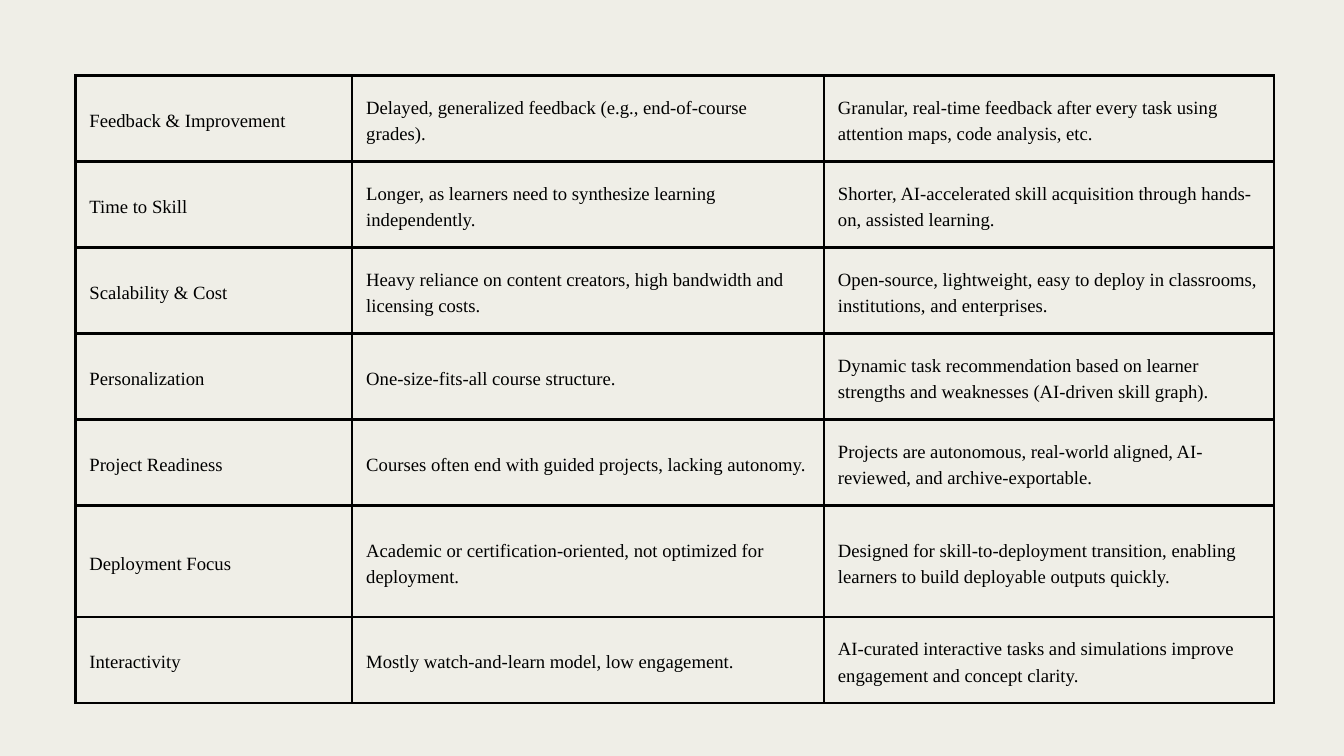
from dataclasses import dataclass

from lxml import etree
from pptx import Presentation
from pptx.dml.color import RGBColor
from pptx.enum.text import MSO_ANCHOR
from pptx.oxml.ns import qn
from pptx.table import Table, _Cell
from pptx.util import Inches, Pt

MIDDLE = MSO_ANCHOR.MIDDLE
BLANK = 6


@dataclass(frozen=True)
class Theme:
    font: str = "Times New Roman"
    size: int = 20
    lead: int = 28
    ink: str = "000000"
    paper: str = "EFEEE7"
    rule: int = 3
    inset: float = 0.21


@dataclass(frozen=True)
class Row:
    aspect: str
    course: str
    guided: str
    height: float = 1.28


THEME = Theme()
LEFT = TOP = 1.12
WIDTHS = (4.12, 7.02, 6.7)
ROWS = (
    Row("Feedback & Improvement",
        "Delayed, generalized feedback (e.g., end-of-course grades).",
        "Granular, real-time feedback after every task using attention maps, code analysis, etc."),
    Row("Time to Skill",
        "Longer, as learners need to synthesize learning independently.",
        "Shorter, AI-accelerated skill acquisition through hands-on, assisted learning."),
    Row("Scalability & Cost",
        "Heavy reliance on content creators, high bandwidth and licensing costs.",
        "Open-source, lightweight, easy to deploy in classrooms, institutions, and enterprises."),
    Row("Personalization",
        "One-size-fits-all course structure.",
        "Dynamic task recommendation based on learner strengths and weaknesses "
        "(AI-driven skill graph)."),
    Row("Project Readiness",
        "Courses often end with guided projects, lacking autonomy.",
        "Projects are autonomous, real-world aligned, AI-reviewed, and archive-exportable."),
    Row("Deployment Focus",
        "Academic or certification-oriented, not optimized for deployment.",
        "Designed for skill-to-deployment transition, enabling learners to build "
        "deployable outputs quickly.",
        height=1.66),
    Row("Interactivity",
        "Mostly watch-and-learn model, low engagement.",
        "AI-curated interactive tasks and simulations improve engagement and concept clarity."),
)


def add_rules(cell: _Cell) -> None:
    """Draw a solid line on all four sides of a cell."""
    props = cell._tc.get_or_add_tcPr()
    for side in ("lnL", "lnR", "lnT", "lnB"):
        line = etree.SubElement(props, qn(f"a:{side}"), w=str(Pt(THEME.rule)))
        fill = etree.SubElement(line, qn("a:solidFill"))
        etree.SubElement(fill, qn("a:srgbClr"), val=THEME.ink)


def fill_cell(cell: _Cell, text: str) -> None:
    add_rules(cell)
    cell.fill.background()
    cell.vertical_anchor = MIDDLE
    inset = Inches(THEME.inset)
    cell.margin_left = cell.margin_right = inset
    cell.margin_top = cell.margin_bottom = inset
    para = cell.text_frame.paragraphs[0]
    para.line_spacing = Pt(THEME.lead)
    run = para.add_run()
    run.text = text
    run.font.name = THEME.font
    run.font.size = Pt(THEME.size)
    run.font.color.rgb = RGBColor.from_string(THEME.ink)


def fill_table(table: Table) -> None:
    table.first_row = table.horz_banding = False
    for column, width in zip(table.columns, WIDTHS):
        column.width = Inches(width)
    for line, row in zip(table.rows, ROWS):
        line.height = Inches(row.height)
        for cell, text in zip(line.cells, (row.aspect, row.course, row.guided)):
            fill_cell(cell, text)


def main() -> None:
    deck = Presentation()
    deck.slide_width, deck.slide_height = Inches(20), Inches(11.25)
    slide = deck.slides.add_slide(deck.slide_layouts[BLANK])

    # Background
    paper = slide.background.fill
    paper.solid()
    paper.fore_color.rgb = RGBColor.from_string(THEME.paper)

    # Comparison table
    height = sum(row.height for row in ROWS)
    frame = slide.shapes.add_table(
        len(ROWS), len(WIDTHS), Inches(LEFT), Inches(TOP),
        Inches(sum(WIDTHS)), Inches(height))
    fill_table(frame.table)

    deck.save("out.pptx")


if __name__ == "__main__":
    main()
